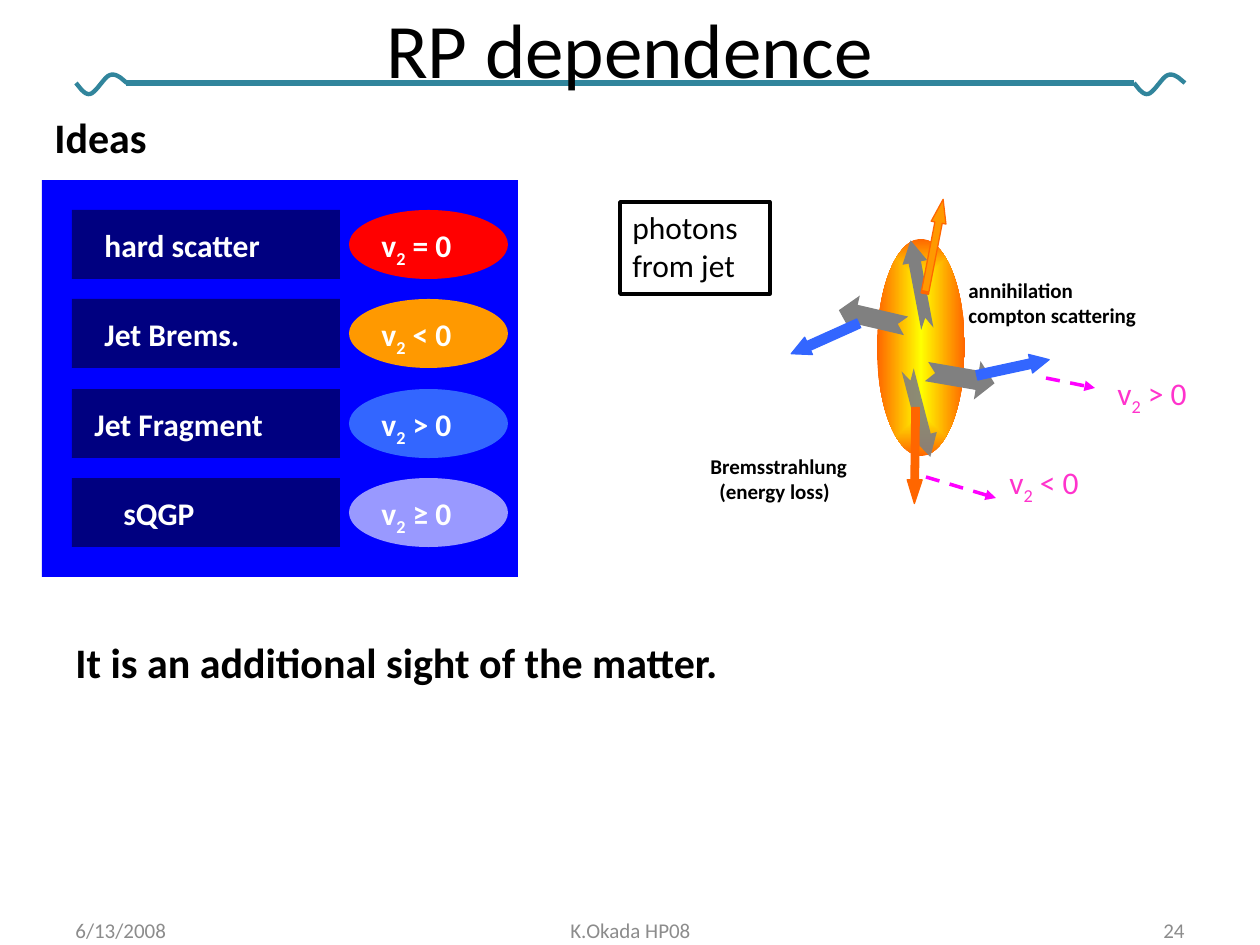
from lxml import etree
from pptx import Presentation
from pptx.dml.color import RGBColor
from pptx.enum.dml import MSO_LINE
from pptx.enum.shapes import MSO_CONNECTOR, MSO_SHAPE
from pptx.enum.text import MSO_ANCHOR, PP_ALIGN
from pptx.oxml.ns import qn
from pptx.util import Pt

SCALE = 914400 / 126
FONT = "Calibri"
TITLE_ONLY = 5
RECTANGLE, ELLIPSE = MSO_SHAPE.RECTANGLE, MSO_SHAPE.OVAL
NOTCHED, STRIPED = MSO_SHAPE.NOTCHED_RIGHT_ARROW, MSO_SHAPE.STRIPED_RIGHT_ARROW
STRAIGHT, DASH = MSO_CONNECTOR.STRAIGHT, MSO_LINE.DASH
LEFT, CENTER, RIGHT = PP_ALIGN.LEFT, PP_ALIGN.CENTER, PP_ALIGN.RIGHT
TOP, MIDDLE = MSO_ANCHOR.TOP, MSO_ANCHOR.MIDDLE

COLORS = {
    "teal": "31859C", "black": "000000", "white": "FFFFFF", "footer": "8C8C8C",
    "panel": "0000FF", "navy": "000080", "red": "FF0000", "amber": "FF9900",
    "blue": "3366FF", "lilac": "9999FF", "yellow": "FFFF00", "orange": "FF6600",
    "gray": "808080", "magenta": "FF00FF", "pink": "FF33CC",
}

# label, label left, relation to zero, ellipse colour
SOURCES = [
    ("hard scatter", 92, " = 0", "red"),
    ("Jet Brems.", 92, " < 0", "amber"),
    ("Jet Fragment", 82, " > 0", "blue"),
    ("sQGP", 111, " ≥ 0", "lilac"),
]
# box, rotation, head length relative to the arrow's height
PARTON_ARROWS = [
    ((838, 299, 69, 38), 193.1, 0.45),
    ((874, 272, 90, 25), 259.3, 0.9),
    ((926, 358, 69, 39), 9.8, 0.45),
    ((874, 401, 90, 25), 75.4, 0.9),
]
# box, rotation, head length, fill, line
PHOTON_ARROWS = [
    ((788, 329, 74, 19), 155.8, 1, "blue", "blue"),
    ((867, 448, 96, 15), 90.7, 1.58, "orange", "orange"),
    ((976, 358, 74, 19), 347.8, 1, "blue", "blue"),
    ((886, 239, 96, 15), 281, 1.58, "amber", "orange"),
]
# start point followed by three cubic curves
WAVE = [(51, 10), (45, 5), (40, 0), (34, 2), (28, 4),
        (20, 20), (14, 21), (9, 22), (5, 16), (0, 10)]


def px(value):
    return round(value * SCALE)


def color(name):
    return RGBColor.from_string(COLORS[name])


def style_line(line, name, width):
    line.color.rgb = color(name)
    line.width = Pt(width)


def format_text(paragraph, size, name, bold=False, align=LEFT):
    paragraph.alignment = align
    for run in paragraph.runs:
        run.font.name = FONT
        run.font.size = Pt(size)
        run.font.bold = bold
        run.font.color.rgb = color(name)


def add_text(shapes, box, text, size, name, bold=False, align=LEFT, anchor=TOP,
             wrap=False):
    shape = shapes.add_textbox(*map(px, box))
    frame = shape.text_frame
    frame.text = text
    frame.word_wrap = wrap
    frame.vertical_anchor = anchor
    for paragraph in frame.paragraphs:
        format_text(paragraph, size, name, bold, align)
    return shape


def add_v2(shapes, box, relation, name, bold=False):
    """Write v with a subscript 2, then its relation to zero."""
    paragraph = add_text(shapes, box, "v", 18, name, bold).text_frame.paragraphs[0]
    subscript = paragraph.add_run()
    subscript.text = "2"
    paragraph.add_run().text = relation
    format_text(paragraph, 18, name, bold)
    subscript.font._element.set("baseline", "-25000")


def add_shape(shapes, kind, box, fill=None, line=None, width=0.75, rotation=0):
    shape = shapes.add_shape(kind, *map(px, box))
    shape.shadow.inherit = False
    shape.rotation = rotation
    if fill:
        shape.fill.solid()
        shape.fill.fore_color.rgb = color(fill)
    else:
        shape.fill.background()
    if line:
        style_line(shape.line, line, width)
    else:
        shape.line.fill.background()
    return shape


def add_arrow(shapes, kind, box, rotation, head, fill, line=None):
    arrow = add_shape(shapes, kind, box, fill, line, rotation=rotation)
    arrow.adjustments[0] = 0.5
    arrow.adjustments[1] = head
    return arrow


def add_line(shapes, ends, name, width):
    line = shapes.add_connector(STRAIGHT, *map(px, ends))
    style_line(line.line, name, width)
    etree.SubElement(line._element.spPr, qn("a:effectLst"))
    return line


def add_dashed_pointer(shapes, ends):
    pointer = add_line(shapes, ends, "magenta", 2)
    pointer.line.dash_style = DASH
    etree.SubElement(pointer.line._get_or_add_ln(), qn("a:tailEnd"), type="triangle")


def bezier(points, t):
    weights = ((1 - t) ** 3, 3 * t * (1 - t) ** 2, 3 * t * t * (1 - t), t ** 3)
    return tuple(sum(w * p[axis] for w, p in zip(weights, points)) for axis in (0, 1))


def add_wave(shapes, left, top):
    """Trace the wave curves with short straight steps, in tenths of a px."""
    points = [(10 * (left + x), 10 * (top + y)) for x, y in WAVE]
    steps = [bezier(points[i:i + 4], n / 10) for i in (0, 3, 6) for n in range(1, 11)]
    builder = shapes.build_freeform(*points[0], scale=SCALE / 10)
    builder.add_line_segments(steps, close=False)
    wave = builder.convert_to_shape()
    wave.shadow.inherit = False
    wave.fill.background()
    style_line(wave.line, "teal", 2.5)


def add_title(slide):
    title = slide.shapes.title
    title.left, title.top, title.width, title.height = map(px, (63, -31, 1134, 157))
    title.text_frame.text = "RP dependence"
    title.text_frame.vertical_anchor = MIDDLE
    format_text(title.text_frame.paragraphs[0], 44, "black", align=CENTER)
    slide.shapes._spTree.append(title._element)  # in front of the rule


def add_source_panel(shapes):
    add_shape(shapes, RECTANGLE, (42, 180, 476, 397), "panel")
    for index, (label, label_left, relation, fill) in enumerate(SOURCES):
        top = 210 + 179 * index // 2
        add_shape(shapes, RECTANGLE, (72, top, 268, 69), "navy")
        add_text(shapes, (label_left, top + 10, 220, 50), label, 18, "white", True)
        add_shape(shapes, ELLIPSE, (349, top, 159, 69), fill)
        add_v2(shapes, (369, top + 10, 117, 50), relation, "white", True)


def add_matter(shapes):
    """Draw the ellipse whose colour runs from its centre to its edge."""
    fill = add_shape(shapes, ELLIPSE, (877, 239, 88, 217), "yellow").fill
    fill.gradient()
    for stop, position, name in zip(fill.gradient_stops, (0, 1), ("yellow", "orange")):
        stop.position = position
        stop.color.rgb = color(name)
    gradient = fill._xPr.find(qn("a:gradFill"))
    shading = etree.Element(qn("a:path"), path="shape")
    etree.SubElement(shading, qn("a:fillToRect"),
                     dict.fromkeys(("l", "t", "r", "b"), "50000"))
    gradient.replace(gradient.find(qn("a:lin")), shading)


def add_jet_diagram(shapes):
    add_matter(shapes)
    for box, rotation, head in PARTON_ARROWS:
        arrow = add_arrow(shapes, NOTCHED, box, rotation, head, "gray")
    last_color = arrow._element.spPr.find(qn("a:solidFill"))[0]
    etree.SubElement(last_color, qn("a:alpha"), val="90000")
    for box, rotation, head, fill, line in PHOTON_ARROWS:
        add_arrow(shapes, STRIPED, box, rotation, head, fill, line)
    add_text(shapes, (956, 271, 221, 63), "annihilation\ncompton scattering",
             12, "black", True)
    loss = add_text(shapes, (698, 447, 186, 63), "Bremsstrahlung\n(energy loss)",
                    12, "black", True)
    loss.text_frame.paragraphs[1]._p.get_or_add_pPr().set("marL", str(px(9)))
    add_dashed_pointer(shapes, (1046, 378, 1095, 388))
    add_v2(shapes, (1105, 368, 115, 50), " > 0", "pink")
    add_v2(shapes, (997, 457, 115, 50), " < 0", "pink")
    add_dashed_pointer(shapes, (926, 477, 996, 498))
    frame_box = (620, 202, 150, 92)
    add_shape(shapes, RECTANGLE, frame_box, line="black", width=2)
    add_text(shapes, frame_box, "photons\nfrom jet", 18, "black", wrap=True)


def main():
    presentation = Presentation()
    presentation.slide_width, presentation.slide_height = px(1260), px(945)
    slide = presentation.slides.add_slide(presentation.slide_layouts[TITLE_ONLY])
    shapes = slide.shapes
    add_line(shapes, (126, 83, 1134, 83), "teal", 3)
    for left in (76, 1134):
        add_wave(shapes, left, 73)
    add_title(slide)
    for left, width, text, align in ((63, 294, "6/13/2008", LEFT),
                                     (431, 399, "K.Okada HP08", CENTER),
                                     (903, 294, "24", RIGHT)):
        add_text(shapes, (left, 905, width, 50), text, 12, "footer",
                 align=align, anchor=MIDDLE, wrap=True)
    add_text(shapes, (42, 105, 118, 63), "Ideas", 24, "black", True)
    add_source_panel(shapes.add_group_shape().shapes)
    add_jet_diagram(shapes.add_group_shape().shapes)
    add_text(shapes, (63, 630, 675, 63), "It is an additional sight of the matter.",
             24, "black", True)
    presentation.save("out.pptx")


if __name__ == "__main__":
    main()
